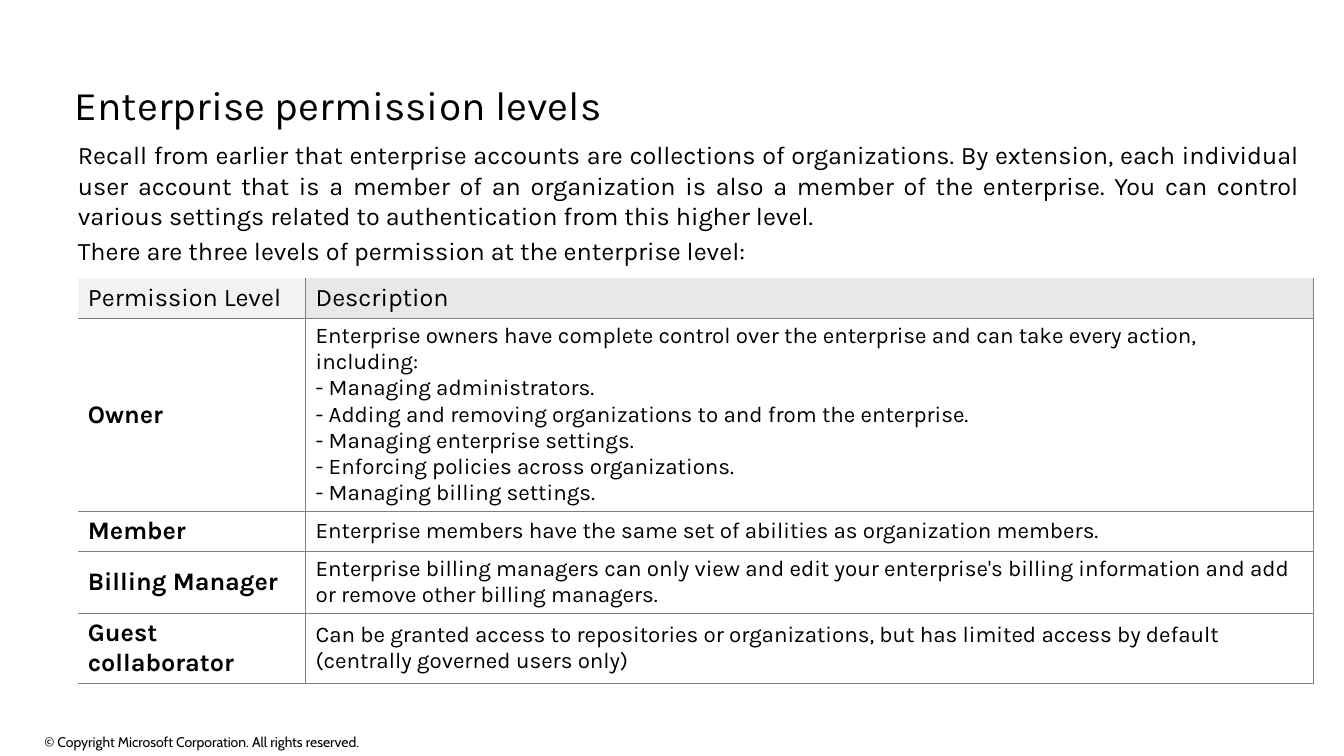
from dataclasses import dataclass

from lxml.etree import SubElement
from pptx import Presentation
from pptx.dml.color import RGBColor
from pptx.enum.text import MSO_ANCHOR, MSO_AUTO_SIZE, PP_ALIGN
from pptx.oxml.ns import qn
from pptx.util import Pt

BLACK = RGBColor(0, 0, 0)
WHITE = RGBColor(0xFF, 0xFF, 0xFF)
LIGHT_GREY = RGBColor(0xF2, 0xF2, 0xF2)
MID_GREY = RGBColor(0xE8, 0xE8, 0xE8)
RULE_GREY = RGBColor(0x80, 0x80, 0x80)


@dataclass
class Permission:
    level: str
    description: list[str]
    height: float


PERMISSIONS = [
    Permission("Permission Level", ["Description"], 26.6),
    Permission("Owner", [
        "Enterprise owners have complete control over the enterprise and can take every action, including:",
        "- Managing administrators.",
        "- Adding and removing organizations to and from the enterprise.",
        "- Managing enterprise settings.",
        "- Enforcing policies across organizations.",
        "- Managing billing settings.",
    ], 127.4),
    Permission("Member", [
        "Enterprise members have the same set of abilities as organization members.",
    ], 25.9),
    Permission("Billing Manager", [
        "Enterprise billing managers can only view and edit your enterprise's billing information "
        "and add or remove other billing managers.",
    ], 41),
    Permission("Guest collaborator", [
        "Can be granted access to repositories or organizations, but has limited access by default "
        "(centrally governed users only)",
    ], 41),
]
COLUMN_WIDTHS = (162.7, 720)

INTRODUCTION = [
    "Recall from earlier that enterprise accounts are collections of organizations. By extension, "
    "each individual user account that is a member of an organization is also a member of the "
    "enterprise. You can control various settings related to authentication from this higher level.",
    "There are three levels of permission at the enterprise level:",
]


def write(frame, lines: list[str], *, size: float, font: str = "Karla", bold: bool = False,
          align=PP_ALIGN.LEFT, line_spacing: float = 1.0, gap: float = 0) -> None:
    """Fill a text frame with one paragraph per line."""
    frame.word_wrap = True
    for index, line in enumerate(lines):
        paragraph = frame.add_paragraph() if index else frame.paragraphs[0]
        paragraph.text = line
        paragraph.alignment = align
        paragraph.line_spacing = line_spacing
        paragraph.space_before = Pt(gap if index else 0)
        paragraph.font.size = Pt(size)
        paragraph.font.name = font
        paragraph.font.bold = bold
        paragraph.font.color.rgb = BLACK


def add_text(slide, left: float, top: float, width: float, height: float,
             lines: list[str], **text_format) -> None:
    frame = slide.shapes.add_textbox(Pt(left), Pt(top), Pt(width), Pt(height)).text_frame
    frame.margin_left = frame.margin_right = frame.margin_top = frame.margin_bottom = 0
    frame.vertical_anchor = MSO_ANCHOR.MIDDLE
    write(frame, lines, **text_format)


def set_borders(cell, ruled_sides: str) -> None:
    """Rule the given sides of a cell and clear the others."""
    properties = cell._tc.get_or_add_tcPr()
    for side in "LRTB":
        line = SubElement(properties, qn(f"a:ln{side}"), w=str(Pt(0.25)))
        if side in ruled_sides:
            fill = SubElement(line, qn("a:solidFill"))
            SubElement(fill, qn("a:srgbClr"), val=str(RULE_GREY))
        else:
            SubElement(line, qn("a:noFill"))


def format_cell(cell, lines: list[str], fill: RGBColor, ruled_sides: str, **text_format) -> None:
    set_borders(cell, ruled_sides)
    cell.fill.solid()
    cell.fill.fore_color.rgb = fill
    cell.vertical_anchor = MSO_ANCHOR.MIDDLE
    write(cell.text_frame, lines, **text_format)


def add_permission_table(slide) -> None:
    table = slide.shapes.add_table(
        len(PERMISSIONS), len(COLUMN_WIDTHS), Pt(55.6), Pt(198.7), Pt(sum(COLUMN_WIDTHS)),
        Pt(sum(permission.height for permission in PERMISSIONS))).table
    for column, width in zip(table.columns, COLUMN_WIDTHS):
        column.width = Pt(width)
    for index, permission in enumerate(PERMISSIONS):
        header = index == 0
        table.rows[index].height = Pt(permission.height)
        top = "" if header else "T"
        format_cell(table.cell(index, 0), [permission.level], LIGHT_GREY if header else WHITE,
                    "RB" + top, size=18, bold=not header)
        format_cell(table.cell(index, 1), permission.description, MID_GREY if header else WHITE,
                    "LRB" + top, size=18 if header else 16)


def main() -> None:
    presentation = Presentation()
    presentation.slide_width, presentation.slide_height = Pt(960), Pt(540)
    slide = presentation.slides.add_slide(presentation.slide_layouts[5])

    # Title
    title = slide.shapes.title
    title.left, title.top, title.width, title.height = Pt(46.1), Pt(64.8), Pt(811.4), Pt(24.5)
    title.text_frame.auto_size = MSO_AUTO_SIZE.NONE
    title.text_frame.vertical_anchor = MSO_ANCHOR.MIDDLE
    write(title.text_frame, ["Enterprise permission levels"], size=29, line_spacing=0.9)

    # Permission levels
    add_permission_table(slide)

    # Copyright line
    add_text(slide, 31.7, 522, 326.9, 15.8,
             ["© Copyright Microsoft Corporation. All rights reserved."], size=10, font="Cabin")

    # Introduction
    add_text(slide, 55.6, 125.3, 872.6, 38.9, INTRODUCTION, size=18,
             align=PP_ALIGN.JUSTIFY, gap=3.6)

    presentation.save("out.pptx")


if __name__ == "__main__":
    main()
